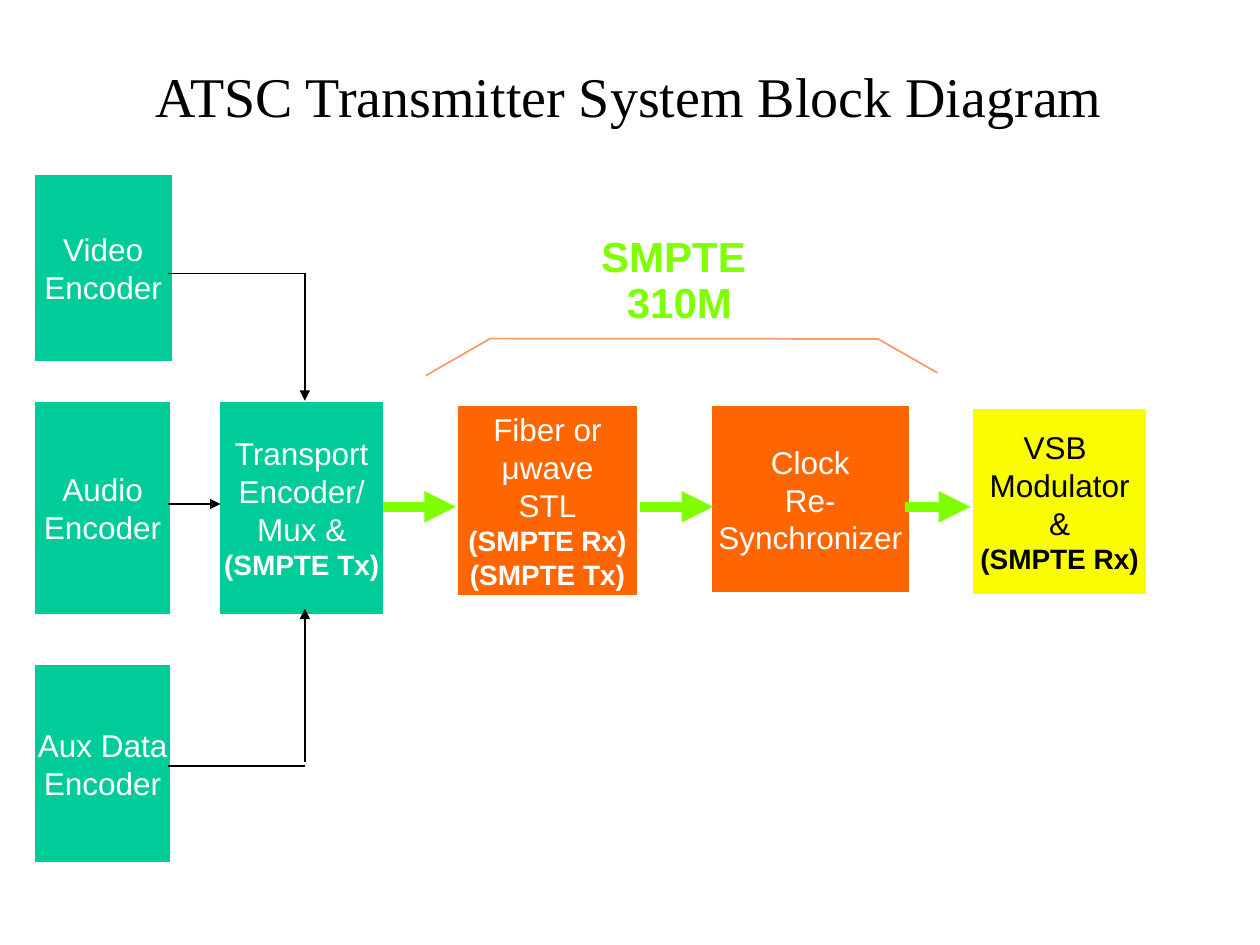
"""Build the ATSC transmitter system block diagram slide."""
from dataclasses import dataclass

import lxml.etree
import pptx
import pptx.dml.color
import pptx.enum.shapes
import pptx.enum.text
import pptx.oxml.ns
import pptx.util

COLORS = {
    "black": "000000",
    "white": "FFFFFF",
    "teal": "00CC99",
    "orange": "FF6600",
    "yellow": "FAFD00",
    "green": "7FFF00",
    "salmon": "FF9966",
}


@dataclass(frozen=True)
class Block:
    left: float
    top: float
    width: float
    height: float
    fill: str
    lines: tuple[str, ...]
    interfaces: tuple[str, ...] = ()
    text_color: str = "white"


@dataclass(frozen=True)
class Link:
    start: tuple[float, float]
    end: tuple[float, float]
    color: str
    weight: float
    arrow: bool = False


BLOCKS = (
    Block(19.4, 99.4, 79.2, 107.3, "teal", ("Video", "Encoder")),
    Block(19.4, 229, 78.5, 122.4, "teal", ("Audio", "Encoder")),
    Block(125.3, 229, 94.3, 122.4, "teal",
          ("Transport", "Encoder/", "Mux &"), ("(SMPTE Tx)",)),
    Block(19.4, 379.4, 78.5, 113.8, "teal", ("Aux Data", "Encoder")),
    Block(555.8, 233.3, 99.4, 106.6, "yellow",
          ("VSB ", "Modulator", "&"), ("(SMPTE Rx)",), "black"),
    Block(261.4, 231.8, 103, 108.7, "orange",
          ("Fiber or", "μwave", "STL"), ("(SMPTE Rx)", "(SMPTE Tx)")),
    Block(406.1, 231.8, 113.8, 107.3, "orange",
          ("Clock", "Re-", "Synchronizer")),
)

LINKS = (
    Link((174.2, 156.2), (174.2, 229), "black", 1, True),
    Link((174.2, 435.6), (174.2, 347.8), "black", 1, True),
    Link((517, 289.6), (554.4, 289.6), "green", 6, True),
    Link((365.8, 289.6), (407.5, 289.6), "green", 6, True),
    Link((218.9, 289.6), (260.6, 289.6), "green", 6, True),
    Link((243.4, 214.6), (280.1, 193.5), "salmon", 1),
    Link((280.1, 193.5), (501.8, 193.7), "salmon", 1),
    Link((501.8, 193.7), (535.7, 213.1), "salmon", 1),
    Link((95.8, 156.2), (174.2, 156.2), "black", 0.75),
    Link((95.8, 288), (126, 288), "black", 0.75, True),
    Link((95.8, 437.8), (174.2, 437.8), "black", 0.75),
)


def rgb(name: str) -> pptx.dml.color.RGBColor:
    """Return a named colour."""
    return pptx.dml.color.RGBColor.from_string(COLORS[name])


def write_paragraph(frame, index: int, text: str, size: float, color: str,
                    bold: bool = False, font_name: str = "Arial"):
    """Write one centred paragraph into a text frame."""
    paragraph = frame.paragraphs[0] if index == 0 else frame.add_paragraph()
    paragraph.text = text
    paragraph.alignment = pptx.enum.text.PP_ALIGN.CENTER
    paragraph.font.name = font_name
    paragraph.font.size = pptx.util.Pt(size)
    paragraph.font.bold = bold
    paragraph.font.color.rgb = rgb(color)
    return paragraph


def add_text_box(slide, left: float, top: float, width: float, height: float):
    """Add a wrapping text box and return its text frame."""
    shape = slide.shapes.add_textbox(*map(pptx.util.Pt, (left, top, width, height)))
    shape.text_frame.word_wrap = True
    return shape.text_frame


def add_block(slide, block: Block) -> None:
    """Draw one stage of the transmitter chain."""
    bounds = (block.left, block.top, block.width, block.height)
    shape = slide.shapes.add_shape(
        pptx.enum.shapes.MSO_SHAPE.RECTANGLE, *map(pptx.util.Pt, bounds))
    shape.shadow.inherit = False
    shape.fill.solid()
    shape.fill.fore_color.rgb = rgb(block.fill)
    shape.line.color.rgb = rgb("white")
    shape.line.width = pptx.util.Pt(1)
    frame = shape.text_frame
    frame.word_wrap = False
    frame.vertical_anchor = pptx.enum.text.MSO_ANCHOR.MIDDLE
    for index, text in enumerate(block.lines + block.interfaces):
        bold = index >= len(block.lines)
        write_paragraph(frame, index, text, 16 if bold else 18,
                        block.text_color, bold)


def add_link(slide, link: Link) -> None:
    """Draw a straight line, with an arrowhead at its end if asked."""
    connector = slide.shapes.add_connector(
        pptx.enum.shapes.MSO_CONNECTOR.STRAIGHT,
        *map(pptx.util.Pt, link.start + link.end))
    connector.line.color.rgb = rgb(link.color)
    connector.line.width = pptx.util.Pt(link.weight)
    if link.arrow:
        lxml.etree.SubElement(connector.line._get_or_add_ln(),
                              pptx.oxml.ns.qn("a:tailEnd"), type="triangle")
    lxml.etree.SubElement(connector._element.spPr,
                          pptx.oxml.ns.qn("a:effectLst"))


def main() -> None:
    """Build and save the slide."""
    presentation = pptx.Presentation()
    presentation.slide_width = pptx.util.Pt(720)
    presentation.slide_height = pptx.util.Pt(540)
    slide = presentation.slides.add_slide(presentation.slide_layouts[6])

    title = add_text_box(slide, 36, 26.6, 647.3, 55.4)
    title.vertical_anchor = pptx.enum.text.MSO_ANCHOR.MIDDLE
    write_paragraph(title, 0, "ATSC Transmitter System Block Diagram", 32,
                    "black", font_name="Times New Roman")

    for block in BLOCKS:
        add_block(slide, block)

    standard = add_text_box(slide, 329.8, 136, 110.2, 54)
    for index, text in enumerate(("SMPTE", " 310M")):
        paragraph = write_paragraph(standard, index, text, 24, "green", True)
        paragraph.line_spacing = 0.7
        paragraph.space_before = pptx.util.Pt(6 if index else 0)

    for link in LINKS:
        add_link(slide, link)

    presentation.save("out.pptx")


if __name__ == "__main__":
    main()
